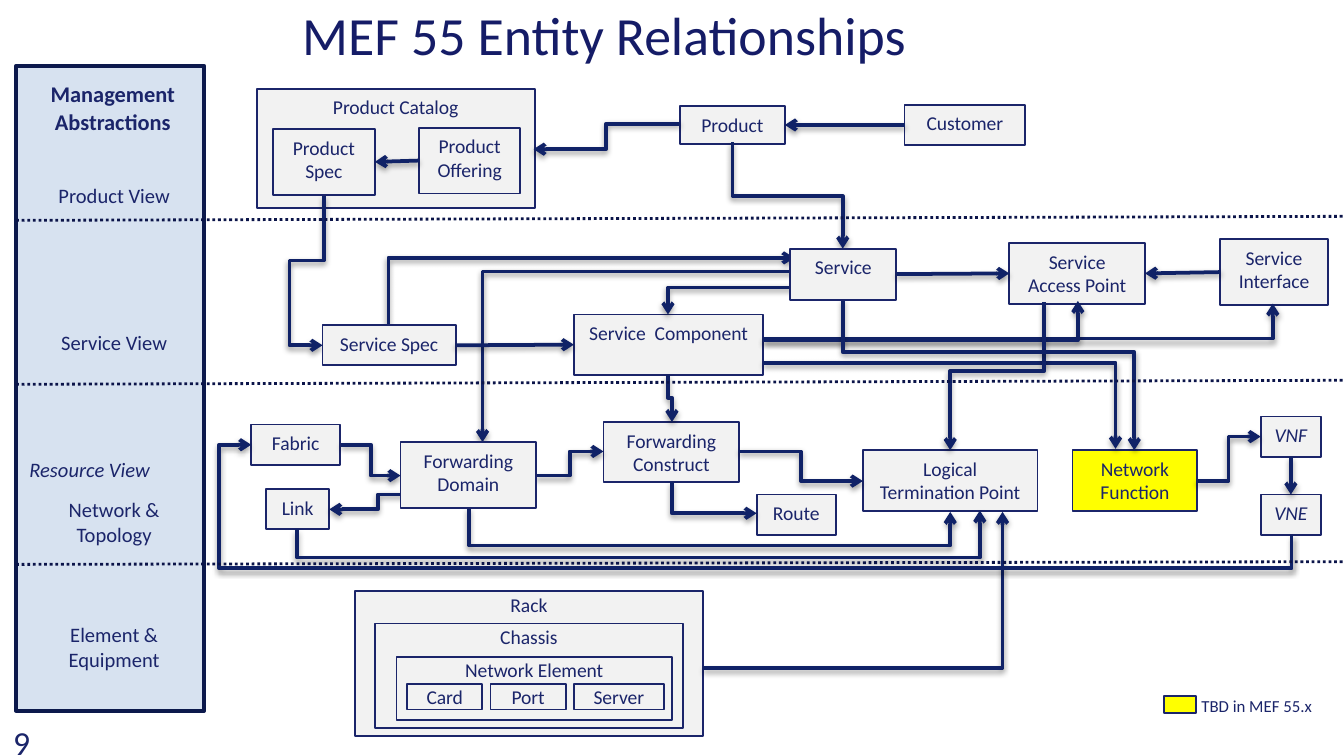
from typing import NamedTuple

from lxml.etree import SubElement
from pptx import Presentation
from pptx.dml.color import RGBColor
from pptx.enum.dml import MSO_LINE
from pptx.enum.shapes import MSO_CONNECTOR as Route, MSO_SHAPE as Preset
from pptx.enum.text import MSO_ANCHOR as Anchor, PP_ALIGN as Align
from pptx.oxml.ns import qn
from pptx.util import Cm, Pt

NAVY, LINK, GREY, YELLOW = "1B256A", "102267", "F2F2F2", "FFFF00"
CM_PER_UNIT = 2.54
TOP, LEFT, BOTTOM, RIGHT = range(4)
Point = tuple[float, float]


class Entity(NamedTuple):
    text: str
    at: tuple[float, float, float, float]
    fill: str = GREY
    italic: bool = False
    pad: float = 0.05
    anchor: Anchor = Anchor.TOP


class Label(NamedTuple):
    text: str
    at: tuple[float, float, float, float]
    size: float = 11
    align: Align = Align.CENTER
    bold: bool = False
    italic: bool = False
    color: str = NAVY
    spacing: float | Pt | None = None


class Elbow(NamedTuple):
    start: Point
    turns: tuple[float, ...]
    end: Point
    vertical: bool = False


class Straight(NamedTuple):
    source: str
    source_side: int
    target: str
    target_side: int


def length(units: float) -> Cm:
    return Cm(units * CM_PER_UNIT)


def paint(color_format, color: str) -> None:
    color_format.rgb = RGBColor.from_string(color)


def apply(target, values: dict) -> None:
    for name, value in values.items():
        setattr(target, name, value)


def write(shape, text: str, align: Align, color: str, font: dict, frame: dict, spacing=None) -> None:
    apply(shape.text_frame, {"text": text, "word_wrap": True, **frame})
    for paragraph in shape.text_frame.paragraphs:
        apply(paragraph, {"alignment": align, "line_spacing": spacing})
        apply(paragraph.font, {"name": "Calibri", **font})
        paint(paragraph.font.color, color)


def draw_rectangle(slide, at, fill: str, line: str, width: float):
    rectangle = slide.shapes.add_shape(Preset.RECTANGLE, *map(length, at))
    rectangle.shadow.inherit = False
    rectangle.fill.solid()
    paint(rectangle.fill.fore_color, fill)
    paint(rectangle.line.color, line)
    rectangle.line.width = Pt(width)
    return rectangle


def draw_entity(slide, entity: Entity):
    rectangle = draw_rectangle(slide, entity.at, entity.fill, NAVY, 1)
    pad = length(entity.pad)
    write(rectangle, entity.text, Align.CENTER, NAVY,
          {"size": Pt(10.5), "italic": entity.italic},
          {"vertical_anchor": entity.anchor, "margin_top": pad, "margin_bottom": pad})
    return rectangle


def draw_label(slide, label: Label) -> None:
    box = slide.shapes.add_textbox(*map(length, label.at))
    write(box, label.text, label.align, label.color,
          {"size": Pt(label.size), "bold": label.bold, "italic": label.italic},
          {}, label.spacing)


def style_link(connector) -> None:
    paint(connector.line.color, LINK)
    connector.line.width = Pt(2)
    properties = connector.element.spPr
    SubElement(properties.find(qn("a:ln")), qn("a:tailEnd"), type="arrow")
    effects = SubElement(properties, qn("a:effectLst"))
    shadow = SubElement(effects, qn("a:outerShdw"), blurRad=str(Pt(3.1)), dist=str(Pt(1.6)),
                        dir="5400000", rotWithShape="0")
    black = SubElement(shadow, qn("a:srgbClr"), val="000000")
    SubElement(black, qn("a:alpha"), val="38000")


def draw_elbow(slide, elbow: Elbow) -> None:
    (x1, y1), (x2, y2) = elbow.start, elbow.end
    dx, dy = x2 - x1, y2 - y1
    wide, high = (abs(dy), abs(dx)) if elbow.vertical else (abs(dx), abs(dy))
    left, top = (x1 + x2 - wide) / 2, (y1 + y2 - high) / 2
    connector = slide.shapes.add_connector(
        Route.ELBOW, *map(length, (left, top, left + wide, top + high)))
    if elbow.vertical:
        flips = {"flipH": dy < 0, "flipV": dx > 0}
        turn = 90
        if dy > 0 and dx > 0:
            flips, turn = {"flipH": True, "flipV": False}, 270
    else:
        flips = {"flipH": False, "flipV": (dx < 0) == (dy > 0)}
        turn = 180 if dx < 0 else 0
    connector.rotation = turn
    frame = connector.element.spPr.find(qn("a:xfrm"))
    for name, flipped in flips.items():
        frame.set(name, str(int(flipped)))
    geometry = connector.element.spPr.find(qn("a:prstGeom"))
    geometry.set("prst", f"bentConnector{len(elbow.turns) + 2}")
    guides = geometry.find(qn("a:avLst"))
    axes = [(x1, dx), (y1, dy)]
    if elbow.vertical:
        axes.reverse()
    for number, (position, (origin, extent)) in enumerate(zip(elbow.turns, axes), 1):
        ratio = round((position - origin) / extent * 100000)
        SubElement(guides, qn("a:gd"), name=f"adj{number}", fmla=f"val {ratio}")
    style_link(connector)


def draw_straight(slide, link: Straight, drawn: dict) -> None:
    connector = slide.shapes.add_connector(Route.STRAIGHT, 0, 0, 0, 0)
    connector.begin_connect(drawn[link.source], link.source_side)
    connector.end_connect(drawn[link.target], link.target_side)
    style_link(connector)


def draw_divider(slide, left_y: float, right_y: float) -> None:
    divider = slide.shapes.add_connector(
        Route.STRAIGHT, *map(length, (0.12, left_y, 10, right_y)))
    paint(divider.line.color, "0B1449")
    apply(divider.line, {"width": Pt(1.5), "dash_style": MSO_LINE.ROUND_DOT})
    SubElement(divider.element.spPr, qn("a:effectLst"))


BACK = [
    Entity("Product Catalog", (1.91, 0.66, 2.07, 0.89)),
    Entity("Product\nOffering", (3.12, 0.95, 0.75, 0.49)),
    Entity("Customer", (6.73, 0.78, 0.9, 0.3)),
    Entity("Product\nSpec", (2.03, 0.96, 0.76, 0.49)),
    Entity("Product", (5.06, 0.79, 0.78, 0.28)),
    Entity("Service  Component", (4.27, 2.34, 1.41, 0.45)),
    Entity("Logical Termination Point", (6.42, 3.35, 1.3, 0.45)),
    Entity("Forwarding Construct", (4.49, 3.14, 1.01, 0.45)),
    Entity("Link", (1.98, 3.64, 0.47, 0.3)),
    Entity("Rack", (2.64, 4.4, 2.59, 1.08), pad=0.01),
    Entity("Chassis", (2.79, 4.64, 2.29, 0.78), pad=0.01),
    Entity("Network Element", (2.95, 4.89, 2.05, 0.47), pad=0.01),
    Entity("Card", (3.03, 5.09, 0.56, 0.19), anchor=Anchor.MIDDLE),
    Entity("Port", (3.65, 5.09, 0.56, 0.19), anchor=Anchor.MIDDLE),
    Entity("Server", (4.27, 5.09, 0.67, 0.19), anchor=Anchor.MIDDLE),
    Entity("Fabric", (1.87, 3.16, 0.66, 0.3)),
    Entity("VNF", (9.38, 3.1, 0.45, 0.3), italic=True),
    Entity("Route", (5.63, 3.68, 0.59, 0.3)),
    Entity("VNE", (9.38, 3.68, 0.45, 0.3), italic=True),
    Entity("Network Function", (7.98, 3.35, 0.93, 0.45), YELLOW),
    Entity("Service Access Point", (7.51, 1.81, 1.01, 0.45)),
    Entity("Service\nInterface", (9.08, 1.78, 0.8, 0.49)),
]
FRONT = [
    Entity("Service Spec", (2.4, 2.42, 0.99, 0.3)),
    Entity("Service", (5.88, 1.85, 0.79, 0.38)),
    Entity("Forwarding Domain", (2.98, 3.29, 1.01, 0.49)),
]
ELBOWS = [
    Elbow((5.06, 0.92), (4.51,), (3.97, 1.11)),
    Elbow((5.45, 1.06), (1.46,), (6.27, 1.85), True),
    Elbow((2.41, 1.46), (1.94, 2.15), (2.4, 2.57), True),
    Elbow((5.9, 2.14), (), (4.97, 2.34)),
    Elbow((5.5, 3.36), (5.96,), (6.42, 3.58)),
    Elbow((3.99, 3.54), (4.24,), (4.49, 3.36)),
    Elbow((3.49, 3.78), (4.06,), (7.07, 3.81), True),
    Elbow((2.89, 2.42), (), (5.91, 1.92), True),
    Elbow((4.97, 2.79), (2.96,), (5, 3.14), True),
    Elbow((8.9, 3.58), (9.14,), (9.38, 3.25)),
    Elbow((5.68, 2.52), (), (9.47, 2.26)),
    Elbow((5.68, 2.7), (), (8.3, 3.34)),
    Elbow((5.68, 2.53), (), (8.02, 2.24)),
    Elbow((7.77, 2.25), (2.76,), (7.07, 3.35), True),
    Elbow((6.27, 2.23), (2.62,), (8.44, 3.35), True),
    Elbow((2.54, 3.31), (2.76,), (2.98, 3.54)),
    Elbow((3.17, 3.68), (2.81,), (2.45, 3.79)),
    Elbow((5, 3.59), (), (5.63, 3.82), True),
    Elbow((2.21, 3.94), (4.15,), (7.29, 3.8), True),
    Elbow((5.23, 4.97), (), (7.46, 3.81)),
    Elbow((6.6, 2.02), (), (3.59, 3.29)),
    Elbow((9.61, 3.98), (4.23, 1.63), (1.87, 3.31), True),
]
STRAIGHTS = [
    Straight("Customer", LEFT, "Product", RIGHT),
    Straight("Product\nOffering", LEFT, "Product\nSpec", RIGHT),
    Straight("Service Spec", RIGHT, "Service  Component", LEFT),
    Straight("Service", RIGHT, "Service Access Point", LEFT),
    Straight("Service\nInterface", LEFT, "Service Access Point", RIGHT),
    Straight("VNF", BOTTOM, "VNE", TOP),
]
LABELS = [
    Label("MEF 55 Entity Relationships", (2.15, 0.01, 7.63, 0.49), 28.8, Align.LEFT,
          color="151C67", spacing=0.92),
    Label("9", (0, 5.32, 0.37, 0.32), 18, Align.LEFT),
    Label("Management\nAbstractions", (0.12, 0.54, 1.44, 0.54), 12, bold=True, spacing=Pt(15)),
    Label("Product View", (0.12, 1.31, 1.46, 0.3)),
    Label("Service View", (0.12, 2.41, 1.46, 0.3)),
    Label("Resource View", (0.12, 3.35, 1.46, 0.3), align=Align.LEFT, italic=True),
    Label("Network & Topology", (0.12, 3.65, 1.46, 0.49)),
    Label("Element & Equipment", (0.12, 4.58, 1.46, 0.49)),
    Label("TBD in MEF 55.x", (8.84, 5.13, 1.08, 0.25), 9, Align.LEFT),
]


def main() -> None:
    deck = Presentation()
    apply(deck, {"slide_width": Cm(25.4), "slide_height": Cm(14.29)})
    slide = deck.slides.add_slide(deck.slide_layouts[6])
    drawn = {entity.text: draw_entity(slide, entity) for entity in BACK}
    for elbow in ELBOWS:
        draw_elbow(slide, elbow)
    drawn |= {entity.text: draw_entity(slide, entity) for entity in FRONT}
    for link in STRAIGHTS:
        draw_straight(slide, link, drawn)
    panel = draw_rectangle(slide, (0.12, 0.49, 1.4, 4.8), "B0C7E2", "0C194C", 2)
    tint = panel.element.spPr.find(qn("a:solidFill"))[0]
    SubElement(tint, qn("a:alpha"), val="50000")
    draw_rectangle(slide, (8.66, 5.18, 0.24, 0.13), YELLOW, NAVY, 1)
    for left_y, right_y in ((1.64, 1.61), (2.86, 2.83), (4.2, 4.18)):
        draw_divider(slide, left_y, right_y)
    for label in LABELS:
        draw_label(slide, label)
    deck.save("out.pptx")


if __name__ == "__main__":
    main()
